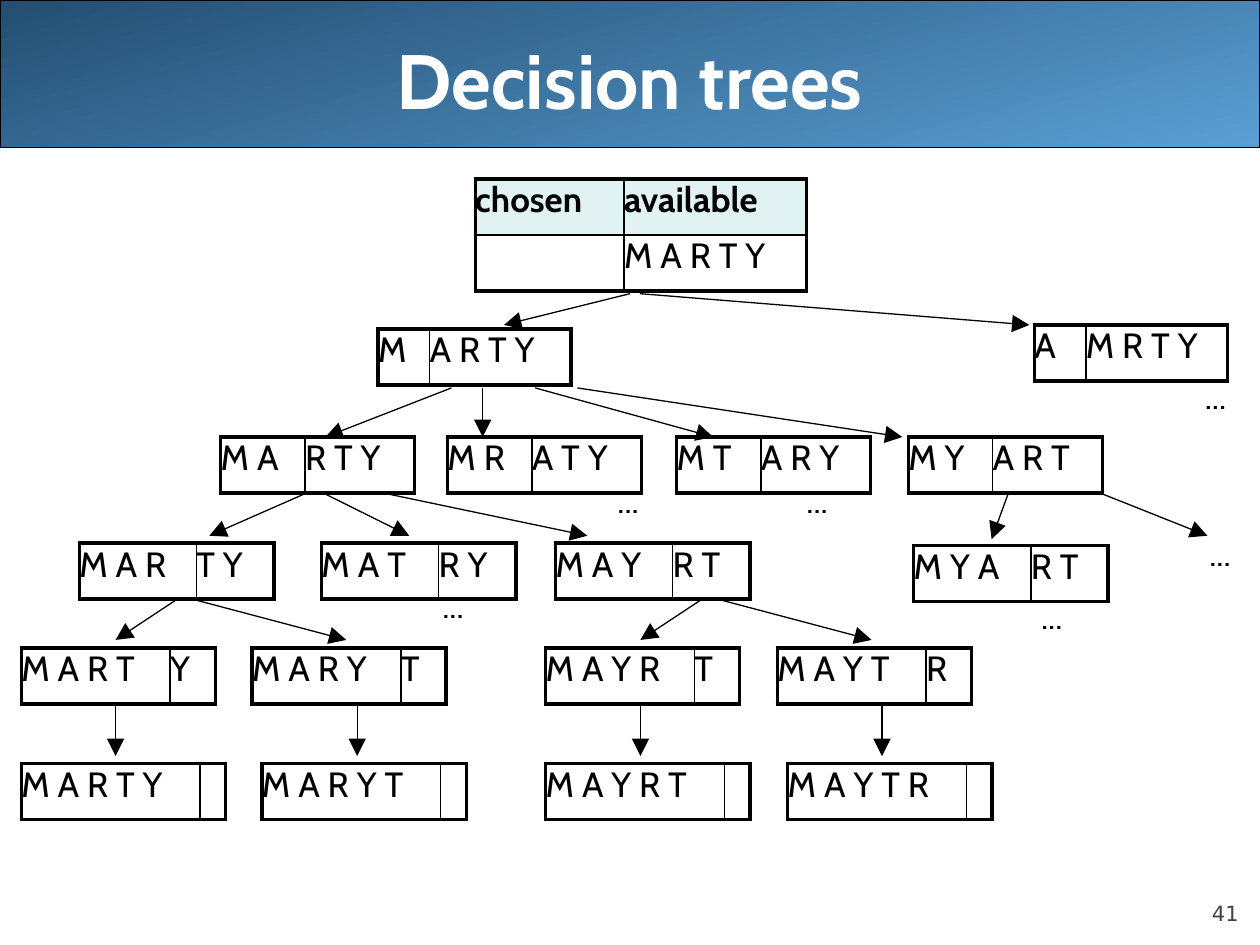
from pptx import Presentation
from pptx.dml.color import RGBColor
from pptx.enum.shapes import MSO_CONNECTOR, MSO_SHAPE
from pptx.enum.text import MSO_ANCHOR, PP_ALIGN
from pptx.oxml.ns import qn
from pptx.util import Cm, Pt
from lxml.etree import SubElement

COLORS = {"ink": "000000", "head": "E1F2F3", "dark": "244E72",
          "light": "5A9FD4", "white": "FFFFFF", "gray": "424242"}
BODY = {"name": "Cabin", "size": Pt(20), "bold": False}
BOLD = {**BODY, "bold": True}
TITLE = {**BOLD, "size": Pt(44)}
PAGE = {"name": "DejaVu Sans", "size": Pt(12), "bold": False}
BARE = {"margin_left": 0, "margin_right": 0, "margin_top": 0, "margin_bottom": 0}

WORD = "MARTY"
ROW = 1.13
SPLITS = {1: (1.04, 2.85), 2: (1.7, 2.21), 3: (2.36, 1.56),
          4: (3.0, 0.91), 5: (3.6, 0.52)}
NODES = [
    (6.63, {"M": 7.62}),
    (6.55, {"A": 20.85}),
    (8.81, {"MA": 4.45, "MR": 9.02, "MT": 13.64, "MY": 18.31}),
    (10.95, {"MAR": 1.6, "MAT": 6.48, "MAY": 11.2}),
    (11.0, {"MYA": 18.42}),
    (13.06, {"MART": 0.43, "MARY": 5.08, "MAYR": 11.0, "MAYT": 15.67}),
    (15.39, {"MARTY": 0.43, "MARYT": 5.28, "MAYRT": 11.0, "MAYTR": 15.88}),
]
ARROWS = [
    (5.92, 6.55, [(12.7, 10.16), (12.9, 20.75)]),
    (7.82, 8.81, [(9.1, 6.56), (9.73, 9.73), (10.79, 14.38), (11.64, 18.19)]),
    (9.96, 10.8, [(6.13, 4.22), (6.56, 8.25), (7.83, 11.84), (22.23, 24.34)]),
    (9.96, 10.87, [(20.32, 19.99)]),
    (12.06, 12.9, [(3.6, 2.33), (3.81, 6.98), (14.18, 12.91), (14.4, 17.57)]),
    (14.17, 15.24, [(2.33, 2.33), (7.2, 7.2), (12.91, 12.91), (17.78, 17.78)]),
]
DOTS = [(23.92, 10.59), (15.8, 9.53), (11.99, 9.53),
        (23.83, 7.42), (8.46, 11.63), (20.53, 11.86)]


def tint(name):
    return RGBColor.from_string(COLORS[name])


def apply(item, look):
    for key, value in look.items():
        setattr(item, key, value)


def write(frame, text, look, color="ink", align=PP_ALIGN.LEFT):
    para = frame.paragraphs[0]
    para.alignment = align
    run = para.add_run()
    run.text = text
    apply(run.font, look)
    run.font.color.rgb = tint(color)


def label(slide, box, text, look, color, align, **frame):
    area = slide.shapes.add_textbox(*map(Cm, box)).text_frame
    apply(area, {"word_wrap": True, **frame})
    write(area, text, look, color, align)


def edge(cell, side, width):
    props = cell._tc.get_or_add_tcPr()
    line = SubElement(props, qn(f"a:ln{side}"), w=str(Pt(width)))
    fill = SubElement(line, qn("a:solidFill"))
    SubElement(fill, qn("a:srgbClr"), val=COLORS["ink"])


def grid(slide, left, top, widths, rows, head=False):
    count = len(rows)
    size = map(Cm, (left, top, sum(widths), ROW * count))
    table = slide.shapes.add_table(count, 2, *size).table
    apply(table, {"first_row": False, "horz_banding": False})
    for col, width in zip(table.columns, widths):
        col.width = Cm(width)
    for i, row in enumerate(rows):
        table.rows[i].height = Cm(ROW)
        for j, text in enumerate(row):
            cell = table.cell(i, j)
            apply(cell, BARE)
            outer = {"L": j == 0, "R": j == 1, "T": i == 0, "B": i == count - 1}
            for side, thick in outer.items():
                edge(cell, side, 2.25 if thick else 1)
            top_row = head and i == 0
            if top_row:
                cell.fill.solid()
                cell.fill.fore_color.rgb = tint("head")
            else:
                cell.fill.background()
            if text:
                write(cell.text_frame, text, BOLD if top_row else BODY)


def arrow(slide, *ends):
    link = slide.shapes.add_connector(MSO_CONNECTOR.STRAIGHT, *map(Cm, ends))
    link.line.width = Pt(0.75)
    link.line.color.rgb = tint("ink")
    SubElement(link.line._get_or_add_ln(), qn("a:tailEnd"),
               type="triangle", w="lg", len="lg")
    SubElement(link._element.spPr, qn("a:effectLst"))


def banner(slide):
    bar = slide.shapes.add_shape(MSO_SHAPE.RECTANGLE, 0, 0, Cm(25.4), Cm(2.97))
    bar.shadow.inherit = False
    bar.fill.gradient()
    bar.fill.gradient_angle = 285
    for stop, name in zip(bar.fill.gradient_stops, ("dark", "light")):
        stop.color.rgb = tint(name)
    bar.line.width = Pt(0.75)
    bar.line.color.rgb = tint("ink")


def main():
    deck = Presentation()
    apply(deck, {"slide_width": Cm(25.4), "slide_height": Cm(19.05)})
    slide = deck.slides.add_slide(deck.slide_layouts[6])
    banner(slide)
    label(slide, (1.27, 0, 22.86, 3.18), "Decision trees", TITLE, "white",
          PP_ALIGN.CENTER, vertical_anchor=MSO_ANCHOR.MIDDLE)
    label(slide, (22.86, 17.65, 2.11, 1.02), "41", PAGE, "gray",
          PP_ALIGN.RIGHT, vertical_anchor=MSO_ANCHOR.BOTTOM, **BARE)
    grid(slide, 9.58, 3.61, (3.0, 3.68),
         [("chosen", "available"), ("", " ".join(WORD))], head=True)
    for top, nodes in NODES:
        for chosen, left in nodes.items():
            rest = [letter for letter in WORD if letter not in chosen]
            grid(slide, left, top, SPLITS[len(chosen)],
                 [(" ".join(chosen), " ".join(rest))])
    for start, end, spans in ARROWS:
        for left, right in spans:
            arrow(slide, left, start, right, end)
    for left, top in DOTS:
        label(slide, (left, top, 1.14, 1.09), "...", BODY, "ink", PP_ALIGN.RIGHT)
    deck.save("out.pptx")


if __name__ == "__main__":
    main()
